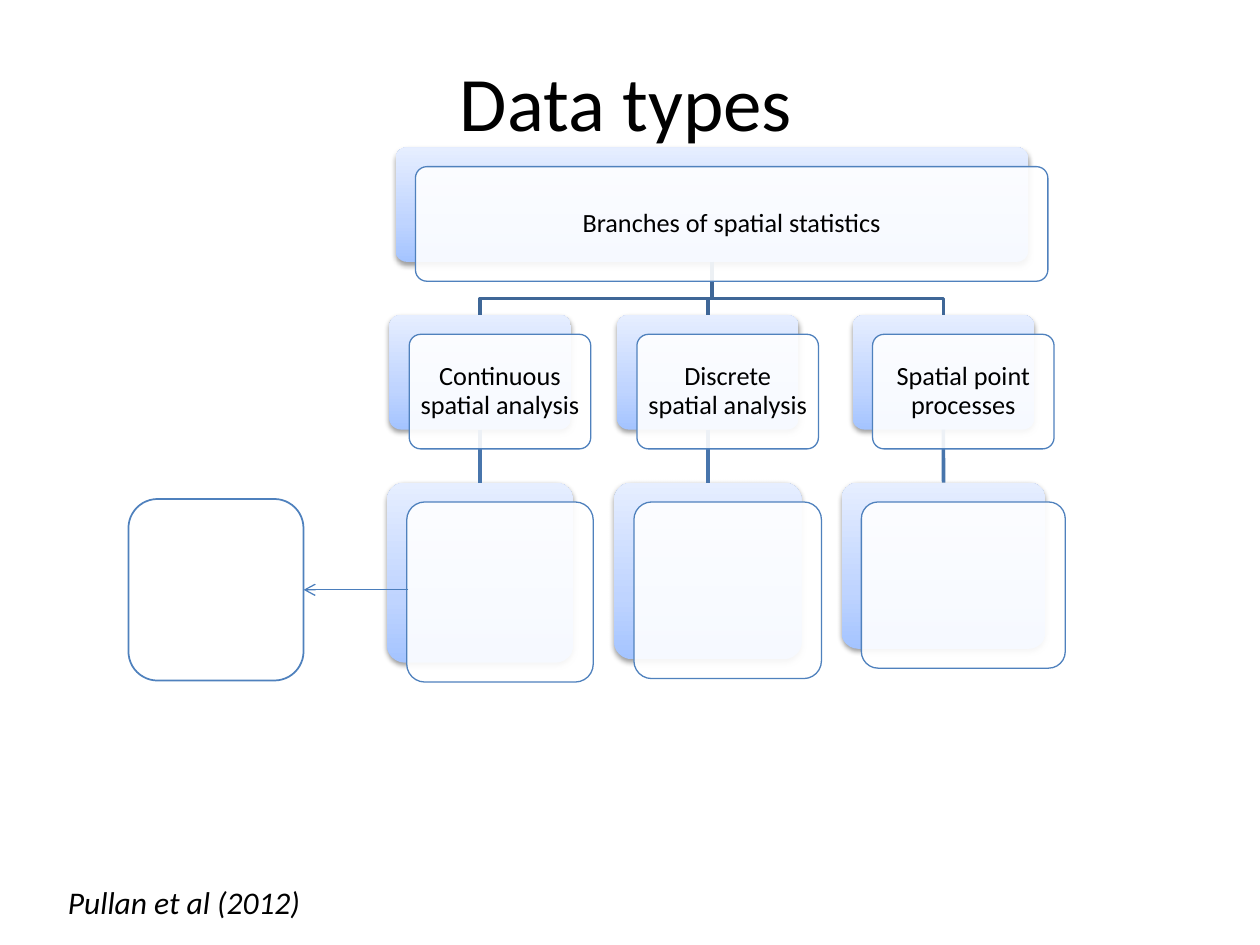
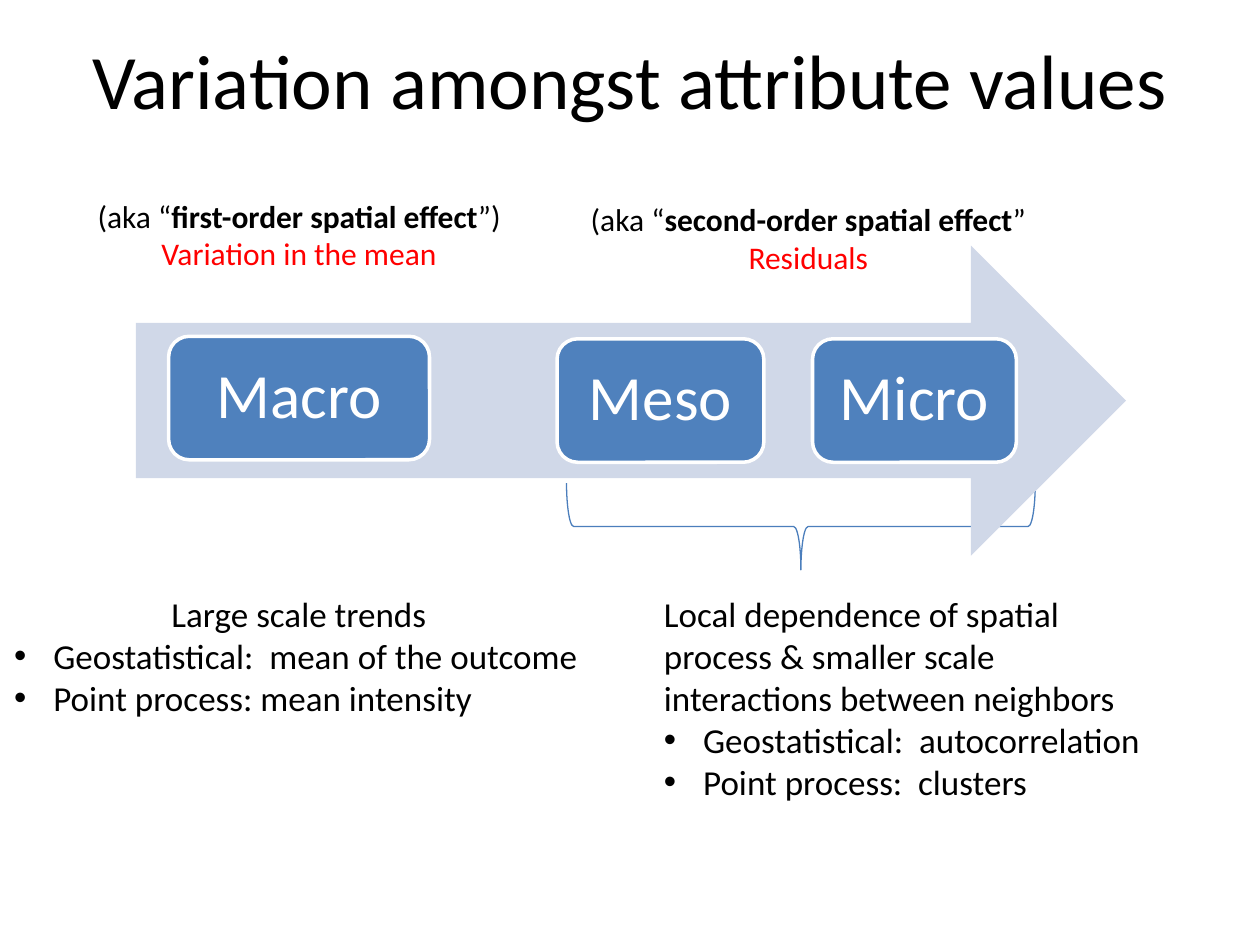
"""Build two slides on spatial data types and on variation amongst attribute values."""
from lxml import etree
from pptx import Presentation
from pptx.dml.color import RGBColor
from pptx.enum.shapes import MSO_CONNECTOR, MSO_SHAPE
from pptx.enum.text import MSO_ANCHOR, MSO_AUTO_SIZE, PP_ALIGN
from pptx.oxml import parse_xml
from pptx.oxml.ns import nsdecls, qn
from pptx.util import Cm, Pt

LEFT, CENTER = PP_ALIGN.LEFT, PP_ALIGN.CENTER
MIDDLE = MSO_ANCHOR.MIDDLE
GROW = MSO_AUTO_SIZE.SHAPE_TO_FIT_TEXT
ROUNDED, ARROW, BRACE = MSO_SHAPE.ROUNDED_RECTANGLE, MSO_SHAPE.RIGHT_ARROW, MSO_SHAPE.RIGHT_BRACE
STRAIGHT = MSO_CONNECTOR.STRAIGHT
TOP_SIDE, BOTTOM_SIDE, RIGHT_SIDE = 0, 2, 3

FONT = "Calibri"
COLORS = {
    "black": "000000",
    "white": "FFFFFF",
    "red": "FF0000",
    "blue": "4F81BD",
    "thin line": "4B7EBC",
    "upper branch": "3F6797",
    "lower branch": "4875AC",
    "pale arrow": "D0D8E8",
}
CARD_GRADIENT = [(0, "A4C4FF"), (35, "BFD4FF"), (100, "E6EEFF")]


def write_paragraph(frame, text, size=18, color="black", align=LEFT, italic=False,
                    bullet=False, spacing=None):
    """Add a paragraph; the parts of the text between asterisks are bold."""
    para = frame.add_paragraph() if frame.text else frame.paragraphs[0]
    para.alignment = align
    para.space_before = Pt(0)
    if spacing:
        para.line_spacing = spacing
    properties = para._p.get_or_add_pPr()
    indent = Cm(0.79) if bullet else 0
    properties.set("marL", str(indent))
    properties.set("indent", str(-indent))
    if bullet:
        etree.SubElement(properties, qn("a:buFont")).set("typeface", "Arial")
        etree.SubElement(properties, qn("a:buChar")).set("char", "•")
    else:
        etree.SubElement(properties, qn("a:buNone"))
    for index, part in enumerate(text.split("*")):
        span = para.add_run()
        span.text = part
        span.font.name = FONT
        span.font.size = Pt(size)
        span.font.bold = index % 2 == 1
        span.font.italic = italic
        span.font.color.rgb = RGBColor.from_string(COLORS[color])


def add_box(page, kind, left, top, width, height, fill=None, line=None, weight=0.75, inset=0.15):
    """Add a flat preset shape, measured in centimetres."""
    box = page.shapes.add_shape(kind, Cm(left), Cm(top), Cm(width), Cm(height))
    box.shadow.inherit = False
    if fill:
        box.fill.solid()
        box.fill.fore_color.rgb = RGBColor.from_string(COLORS[fill])
    else:
        box.fill.background()
    if line:
        box.line.color.rgb = RGBColor.from_string(COLORS[line])
        box.line.width = Pt(weight)
    else:
        box.line.fill.background()
    frame = box.text_frame
    frame.word_wrap = True
    frame.vertical_anchor = MIDDLE
    frame.margin_left = frame.margin_right = frame.margin_top = frame.margin_bottom = Cm(inset)
    return box


deck = Presentation()
deck.slide_width, deck.slide_height = Cm(25.4), Cm(19.05)
pages = []
for layout, title, left, top in [
    (5, "Data types", 1.19, 0.43),
    (3, "Variation amongst attribute values", 1.27, 0),
]:
    page = deck.slides.add_slide(deck.slide_layouts[layout])
    heading = page.shapes.title
    heading.left, heading.top, heading.width, heading.height = Cm(left), Cm(top), Cm(22.86), Cm(3.18)
    write_paragraph(heading.text_frame, title, size=44, align=CENTER)
    pages.append(page)
types_page, variation_page = pages

ROOT_CENTER, ROOT_TOP, BRANCH_TOP, LEAF_TOP = 14.35, 2.97, 6.35, 9.73
CARD_HEIGHT, BRANCH_WIDTH = 2.31, 3.66
FRONT_RIGHT, FRONT_DOWN = 0.4, 0.39
BUS_TOP = 6.02
branches = [
    ("Continuous spatial analysis", 9.68, 3.76, 3.63),
    ("Discrete spatial analysis", 14.27, 3.78, 3.56),
    ("Spatial point processes", 19.02, 4.11, 3.35),
]
cards = [("Branches of spatial statistics", ROOT_CENTER, ROOT_TOP, 12.75, CARD_HEIGHT)]
for label, center, leaf_width, leaf_height in branches:
    cards.append((label, center, BRANCH_TOP, BRANCH_WIDTH, CARD_HEIGHT))
    cards.append(("", center, LEAF_TOP, leaf_width, leaf_height))

stops = "".join(
    f'<a:gs pos="{position * 1000}"><a:srgbClr val="{color}"/></a:gs>'
    for position, color in CARD_GRADIENT
)
gradient = f'<a:gradFill {nsdecls("a")}><a:gsLst>{stops}</a:gsLst><a:lin ang="16200000" scaled="0"/></a:gradFill>'
shadow = (
    f'<a:outerShdw {nsdecls("a")} blurRad="{Pt(3.1)}" dist="{Pt(1.6)}" dir="5400000" rotWithShape="0">'
    f'<a:srgbClr val="{COLORS["black"]}"><a:alpha val="38000"/></a:srgbClr></a:outerShdw>'
)
back_cards = []
for label, center, top, width, height in cards:
    back = add_box(types_page, ROUNDED, center - width / 2, top, width, height)
    back.adjustments[0] = 0.1
    properties = back._element.spPr
    properties.replace(properties.find(qn("a:noFill")), parse_xml(gradient))
    properties.find(qn("a:effectLst")).append(parse_xml(shadow))
    back_cards.append(back)

for index, (label, center, leaf_width, leaf_height) in enumerate(branches):
    outline = types_page.shapes.build_freeform(Cm(ROOT_CENTER), Cm(ROOT_TOP + CARD_HEIGHT))
    outline.add_line_segments(
        [(Cm(ROOT_CENTER), Cm(BUS_TOP)), (Cm(center), Cm(BUS_TOP)), (Cm(center), Cm(BRANCH_TOP))],
        close=False,
    )
    upper = outline.convert_to_shape()
    upper.shadow.inherit = False
    upper.fill.background()
    lower = types_page.shapes.add_connector(STRAIGHT, 0, 0, 0, 0)
    lower.begin_connect(back_cards[2 * index + 1], BOTTOM_SIDE)
    lower.end_connect(back_cards[2 * index + 2], TOP_SIDE)
    for branch_line, color in [(upper, "upper branch"), (lower, "lower branch")]:
        branch_line.line.color.rgb = RGBColor.from_string(COLORS[color])
        branch_line.line.width = Pt(2)
    etree.SubElement(lower._element.spPr, qn("a:effectLst"))

for label, center, top, width, height in cards:
    front = add_box(types_page, ROUNDED, center - width / 2 + FRONT_RIGHT, top + FRONT_DOWN,
                    width, height, fill="white", line="blue")
    front.adjustments[0] = 0.1
    white = front._element.spPr.find(qn("a:solidFill")).find(qn("a:srgbClr"))
    etree.SubElement(white, qn("a:alpha")).set("val", "90000")
    if label:
        write_paragraph(front.text_frame, label, size=15, align=CENTER, spacing=0.9)

citation = types_page.shapes.add_textbox(Cm(1.12), Cm(17.68), Cm(5.38), Cm(1.02))
citation.text_frame.word_wrap = False
citation.text_frame.auto_size = GROW
write_paragraph(citation.text_frame, "Pullan et al (2012)", italic=True)

side_box = add_box(types_page, ROUNDED, 2.59, 10.06, 3.53, 3.66, line="blue", weight=1)
pointer_top = side_box.top + side_box.height // 2
pointer = types_page.shapes.add_connector(STRAIGHT, Cm(8.23), pointer_top, Cm(6.12), pointer_top)
pointer.end_connect(side_box, RIGHT_SIDE)
pointer.line.color.rgb = RGBColor.from_string(COLORS["thin line"])
pointer.line.width = Pt(0.75)
etree.SubElement(pointer.line._get_or_add_ln(), qn("a:tailEnd")).set("type", "arrow")
etree.SubElement(pointer._element.spPr, qn("a:effectLst"))

lists = [
    (0.03, 11.99, 2.82, False, CENTER, "Large scale trends",
     ["Geostatistical:  mean of the outcome", "Point process: mean intensity"]),
    (13.13, 10.29, 4.52, True, LEFT,
     "Local dependence of spatial process & smaller scale interactions between neighbors",
     ["Geostatistical:  autocorrelation", "Point process:  clusters"]),
]
bodies = list(variation_page.placeholders)[1:]
for body, (left, width, height, wrap, align, lead, items) in zip(bodies, lists):
    body.left, body.top, body.width, body.height = Cm(left), Cm(11.81), Cm(width), Cm(height)
    frame = body.text_frame
    frame.word_wrap = wrap
    frame.auto_size = GROW
    write_paragraph(frame, lead, size=20, align=align)
    for item in items:
        write_paragraph(frame, item, size=20, bullet=True)

brace = add_box(variation_page, BRACE, 15.27, 5.89, 1.75, 9.45, line="thin line")
brace.rotation = 90
add_box(variation_page, ARROW, 2.74, 4.95, 19.96, 6.25, fill="pale arrow")

for label, left, top, width in [
    ("Macro", 3.4, 6.78, 5.26),
    ("Meso", 11.23, 6.83, 4.17),
    ("Micro", 16.38, 6.83, 4.11),
]:
    scale = add_box(variation_page, ROUNDED, left, top, width, 2.49,
                    fill="blue", line="white", weight=2, inset=0.38)
    write_paragraph(scale.text_frame, label, size=36, color="white", align=CENTER, spacing=0.9)

for left, top, width, alias, meaning in [
    (11.61, 3.91, 9.37, "(aka “*second-order spatial effect*”", "Residuals"),
    (1.65, 3.84, 8.76, "(aka “*first-order spatial effect*”)", "Variation in the mean"),
]:
    note = variation_page.shapes.add_textbox(Cm(left), Cm(top), Cm(width), Cm(2.57))
    note.text_frame.word_wrap = False
    write_paragraph(note.text_frame, alias, align=CENTER)
    write_paragraph(note.text_frame, meaning, color="red", align=CENTER)

deck.save("out.pptx")
